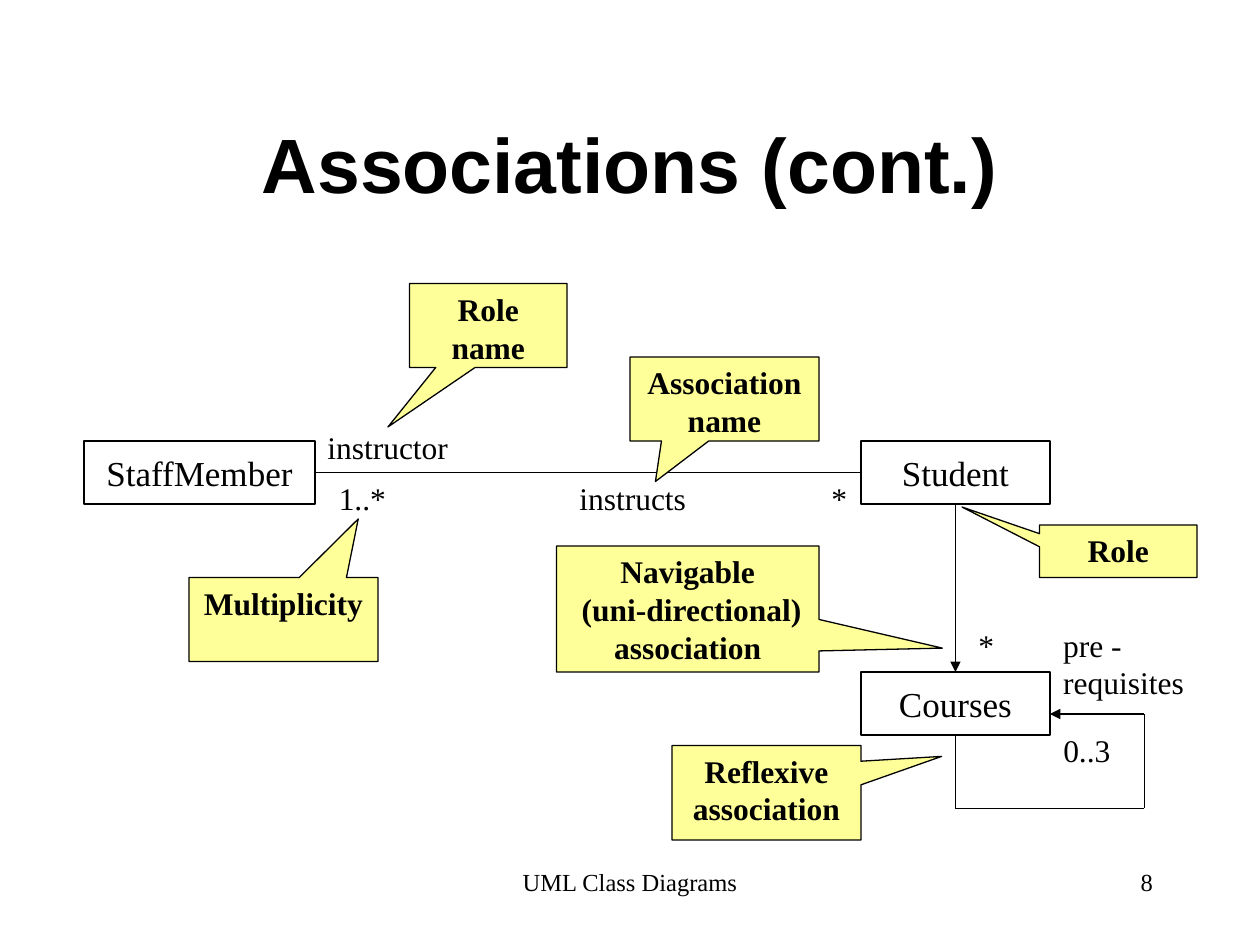
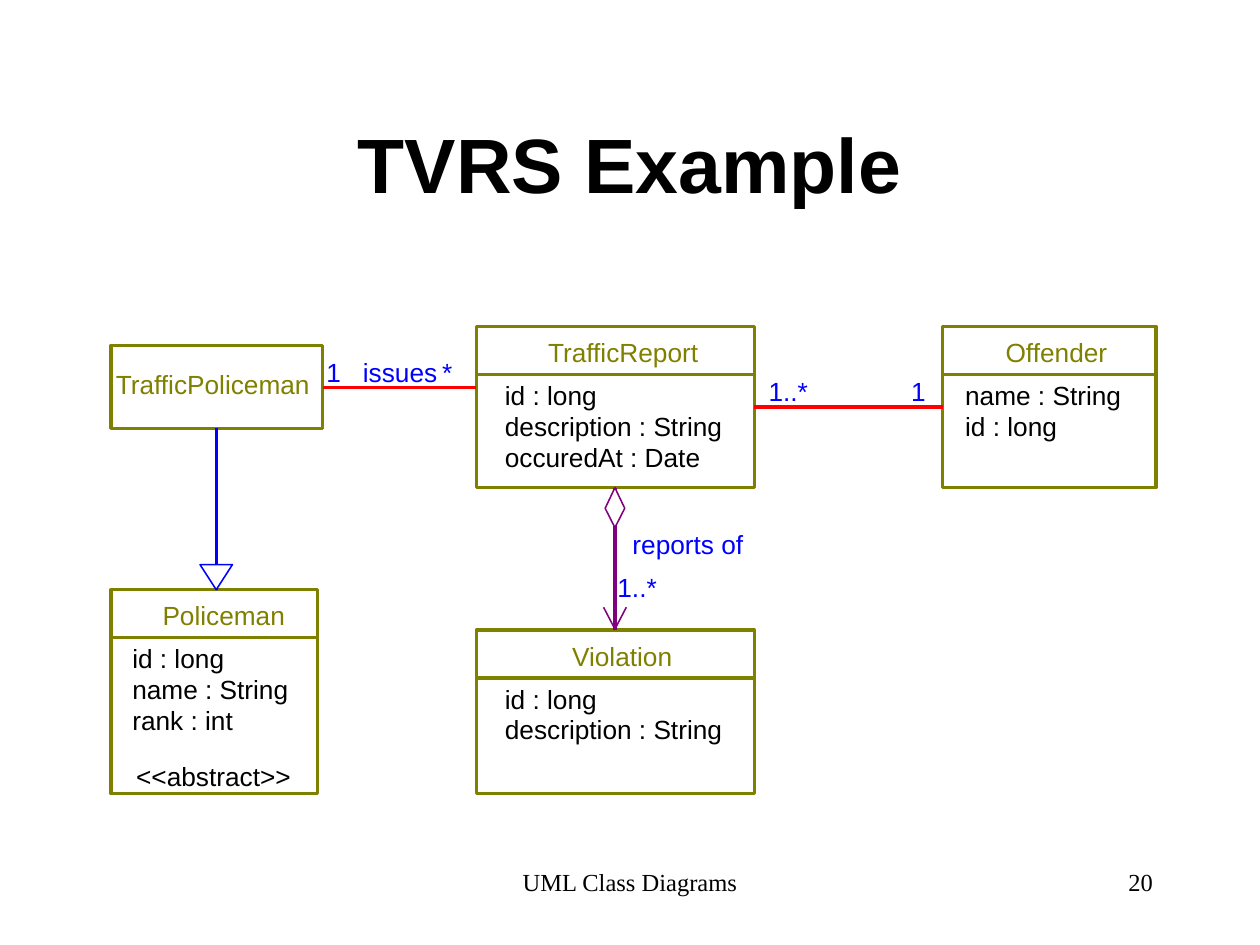
from dataclasses import dataclass
from itertools import pairwise

from lxml.etree import SubElement
from pptx import Presentation
from pptx.dml.color import RGBColor
from pptx.enum.shapes import MSO_CONNECTOR, MSO_SHAPE
from pptx.enum.text import MSO_ANCHOR, MSO_AUTO_SIZE, PP_ALIGN
from pptx.oxml.ns import qn
from pptx.util import Pt


@dataclass(frozen=True)
class Theme:
    black: str = "000000"
    white: str = "FFFFFF"
    callout: str = "FFFF99"
    olive: str = "808000"
    blue: str = "0000FF"
    red: str = "FF0000"
    purple: str = "800080"
    sans: str = "Arial"
    serif: str = "Times New Roman"
    title_size: float = 44
    box_size: float = 20
    label_size: float = 18
    class_size: float = 15
    footer_size: float = 14
    thin: float = 0.75
    marker: float = 0.88
    thick: float = 1.87


THEME = Theme()
FOOTER = "UML Class Diagrams"
TITLE_BOX = (54, 48, 612, 90)
FOOTER_BOX = (246, 492, 228, 36)
NUMBER_BOX = (516, 492, 150, 36)

ASSOCIATION_BOXES = [
    ("StaffMember", (48, 252, 132, 36)),
    ("Student", (492, 252, 108, 36)),
    ("Courses", (492, 384, 108, 36)),
]
ASSOCIATION_LINES = [
    ([(180, 270), (492, 270)], False),
    ([(546, 288), (546, 384)], True),
    ([(546, 420), (546, 462), (654, 462), (654, 408), (600, 408)], True),
]
ASSOCIATION_LABELS = [
    ("1..*", (186.5, 270, 46, 29)),
    ("*", (468, 270, 26, 29)),
    ("instructs", (324, 270, 80, 29)),
    ("instructor", (180, 241, 88, 29)),
    ("pre - \nrequisites", (600.5, 354, 88, 50.5)),
    ("0..3", (600.5, 414, 46, 29)),
    ("*", (552, 354, 26, 29)),
]
CALLOUTS = [
    ("Association name", (360, 204, 108, 48), (-0.365, 0.982)),
    ("Role name", (234, 162, 90, 48), (-0.637, 1.208)),
    ("Multiplicity", (108, 330, 108, 48), (0.396, -1.198)),
    ("Navigable\n (uni-directional) association", (318, 312, 150, 72), (0.97, 0.311)),
    ("Reflexive association", (384, 426, 108, 54), (0.927, -0.384)),
    ("Role", (594, 300, 90, 30), (-0.992, -0.842)),
]

ID = ("id : long", 57)
NAME = ("name : String", 94)
DESCRIPTION = ("description : String", 129)
CLASSES = [
    {"name": ("Policeman", 75), "box": (63.4, 337, 118.1, 116.6),
     "name_left": 92.9, "member_left": 75.6,
     "members": [ID, NAME, ("rank : int", 62)]},
    {"name": ("TrafficReport", 91), "box": (272.2, 186.5, 158.8, 92.2),
     "name_left": 313.2, "member_left": 288.5,
     "members": [ID, DESCRIPTION, ("occuredAt : Date", 116)]},
    {"name": ("Violation", 62), "box": (272.2, 360, 158.8, 93.6),
     "name_left": 326.9, "member_left": 288.5,
     "members": [ID, DESCRIPTION]},
    {"name": ("Offender", 63), "box": (538.6, 186.5, 122, 92.2),
     "name_left": 574.6, "member_left": 551.5,
     "members": [NAME, ID]},
]
NAME_OFFSET, DIVIDER_OFFSET, MEMBER_OFFSET, ROW_PITCH = 5.6, 27.4, 30.2, 17.6
ROW_HEIGHT = 18
TRAFFIC_POLICEMAN_BOX = (63.4, 197.3, 121, 47.5)
CLASS_LABELS = [
    ("TrafficPoliceman", 66.2, 210.2, 116, THEME.olive),
    ("<<abstract>>", 77.8, 434.2, 93, THEME.black),
    ("1..*", 439.2, 214.6, 27, THEME.blue),
    ("1", 520.6, 214.6, 13, THEME.blue),
    ("reports of", 361.4, 301.7, 68, THEME.blue),
    ("1..*", 352.8, 326.2, 27, THEME.blue),
    ("issues", 207.4, 203.8, 47, THEME.blue),
    ("1", 186.5, 203.8, 13, THEME.blue),
    ("*", 252.7, 203.8, 10, THEME.blue),
]
RELATIONS = [
    ([(123.6, 244.8), (123.6, 337)], THEME.blue),
    ([(184.4, 221.4), (272.2, 221.4)], THEME.red),
    ([(431, 232.6), (538.6, 232.6)], THEME.red),
    ([(351.4, 278.7), (351.4, 360)], THEME.purple),
]
MARKERS = [
    ([(114.3, 322.6), (123.6, 337), (132.9, 322.6)], True, THEME.blue),
    ([(351.4, 301.5), (357, 290.5), (351.4, 278.7), (345.8, 290.5)], True, THEME.purple),
    ([(344.9, 347), (351.4, 359.5), (357.9, 347)], False, THEME.purple),
]


def points(values):
    return [Pt(value) for value in values]


def apply_format(target, values):
    for attribute, value in values.items():
        setattr(target, attribute, value)


def set_line(line, color, width):
    line.color.rgb = RGBColor.from_string(color)
    line.width = Pt(width)


def set_fill(shape, color):
    if color:
        shape.fill.solid()
        shape.fill.fore_color.rgb = RGBColor.from_string(color)
    else:
        shape.fill.background()


def write(shape, text, size, font=THEME.serif, color=THEME.black, bold=False,
          align=PP_ALIGN.LEFT, anchor=MSO_ANCHOR.TOP, inset=(7.2, 3.6)):
    frame = shape.text_frame
    horizontal, vertical = points(inset)
    apply_format(frame, {
        "text": text, "word_wrap": True, "vertical_anchor": anchor,
        "margin_left": horizontal, "margin_right": horizontal,
        "margin_top": vertical, "margin_bottom": vertical,
        "auto_size": MSO_AUTO_SIZE.NONE,
    })
    for paragraph in frame.paragraphs:
        paragraph.alignment = align
        for run in paragraph.runs:
            apply_format(run.font, {"name": font, "size": Pt(size), "bold": bold})
            run.font.color.rgb = RGBColor.from_string(color)


def add_text(slide, box, text, size, **style):
    write(slide.shapes.add_textbox(*points(box)), text, size, **style)


def add_box(slide, box, color, width, kind=MSO_SHAPE.RECTANGLE, fill=None):
    shape = slide.shapes.add_shape(kind, *points(box))
    shape.shadow.inherit = False
    set_fill(shape, fill)
    set_line(shape.line, color, width)
    return shape


def add_route(slide, route, color, width, arrow=False):
    for start, end in pairwise(route):
        connector = slide.shapes.add_connector(
            MSO_CONNECTOR.STRAIGHT, *points(start + end))
        set_line(connector.line, color, width)
        properties = connector._element.spPr
        SubElement(properties, qn("a:effectLst"))
    if arrow:
        SubElement(properties.find(qn("a:ln")), qn("a:tailEnd"), type="triangle")


def add_marker(slide, outline, closed, color):
    start, *rest = [tuple(points(point)) for point in outline]
    builder = slide.shapes.build_freeform(*start)
    builder.add_line_segments(rest, close=closed)
    shape = builder.convert_to_shape()
    shape.shadow.inherit = False
    set_fill(shape, THEME.white if closed else None)
    set_line(shape.line, color, THEME.marker)


def add_slide(presentation, title, number):
    slide = presentation.slides.add_slide(presentation.slide_layouts[6])
    add_text(slide, TITLE_BOX, title, THEME.title_size, font=THEME.sans, bold=True,
             align=PP_ALIGN.CENTER, anchor=MSO_ANCHOR.MIDDLE)
    add_text(slide, FOOTER_BOX, FOOTER, THEME.footer_size, align=PP_ALIGN.CENTER)
    add_text(slide, NUMBER_BOX, number, THEME.footer_size, align=PP_ALIGN.RIGHT)
    return slide


def build_associations(presentation):
    slide = add_slide(presentation, "Associations (cont.)", "8")
    for name, box in ASSOCIATION_BOXES:
        shape = add_box(slide, box, THEME.black, THEME.thin)
        write(shape, name, THEME.box_size, align=PP_ALIGN.CENTER,
              anchor=MSO_ANCHOR.MIDDLE)
    for route, arrow in ASSOCIATION_LINES:
        add_route(slide, route, THEME.black, THEME.thin, arrow)
    for text, box in ASSOCIATION_LABELS:
        add_text(slide, box, text, THEME.label_size)
    for text, box, tip in CALLOUTS:
        shape = add_box(slide, box, THEME.black, THEME.thin,
                        MSO_SHAPE.RECTANGULAR_CALLOUT, THEME.callout)
        for index, value in enumerate(tip):
            shape.adjustments[index] = value
        write(shape, text, THEME.label_size, bold=True, align=PP_ALIGN.CENTER)


def add_class_text(slide, text, left, top, width, color):
    add_text(slide, (left, top, width, ROW_HEIGHT), text, THEME.class_size,
             font=THEME.sans, color=color, inset=(0, 0))


def add_class(slide, entry):
    left, top, width, _ = entry["box"]
    add_box(slide, entry["box"], THEME.olive, THEME.thick)
    divider = top + DIVIDER_OFFSET
    add_route(slide, [(left, divider), (left + width, divider)], THEME.olive, THEME.thick)
    name, name_width = entry["name"]
    add_class_text(slide, name, entry["name_left"], top + NAME_OFFSET,
                   name_width, THEME.olive)
    for row, (member, member_width) in enumerate(entry["members"]):
        add_class_text(slide, member, entry["member_left"],
                       top + MEMBER_OFFSET + row * ROW_PITCH, member_width, THEME.black)


def build_example(presentation):
    slide = add_slide(presentation, "TVRS Example", "20")
    for entry in CLASSES:
        add_class(slide, entry)
    add_box(slide, TRAFFIC_POLICEMAN_BOX, THEME.olive, THEME.thick)
    for label in CLASS_LABELS:
        add_class_text(slide, *label)
    for route, color in RELATIONS:
        add_route(slide, route, color, THEME.thick)
    for outline, closed, color in MARKERS:
        add_marker(slide, outline, closed, color)


def main():
    presentation = Presentation()
    apply_format(presentation, {"slide_width": Pt(720), "slide_height": Pt(540)})
    build_associations(presentation)
    build_example(presentation)
    presentation.save("out.pptx")


if __name__ == "__main__":
    main()
